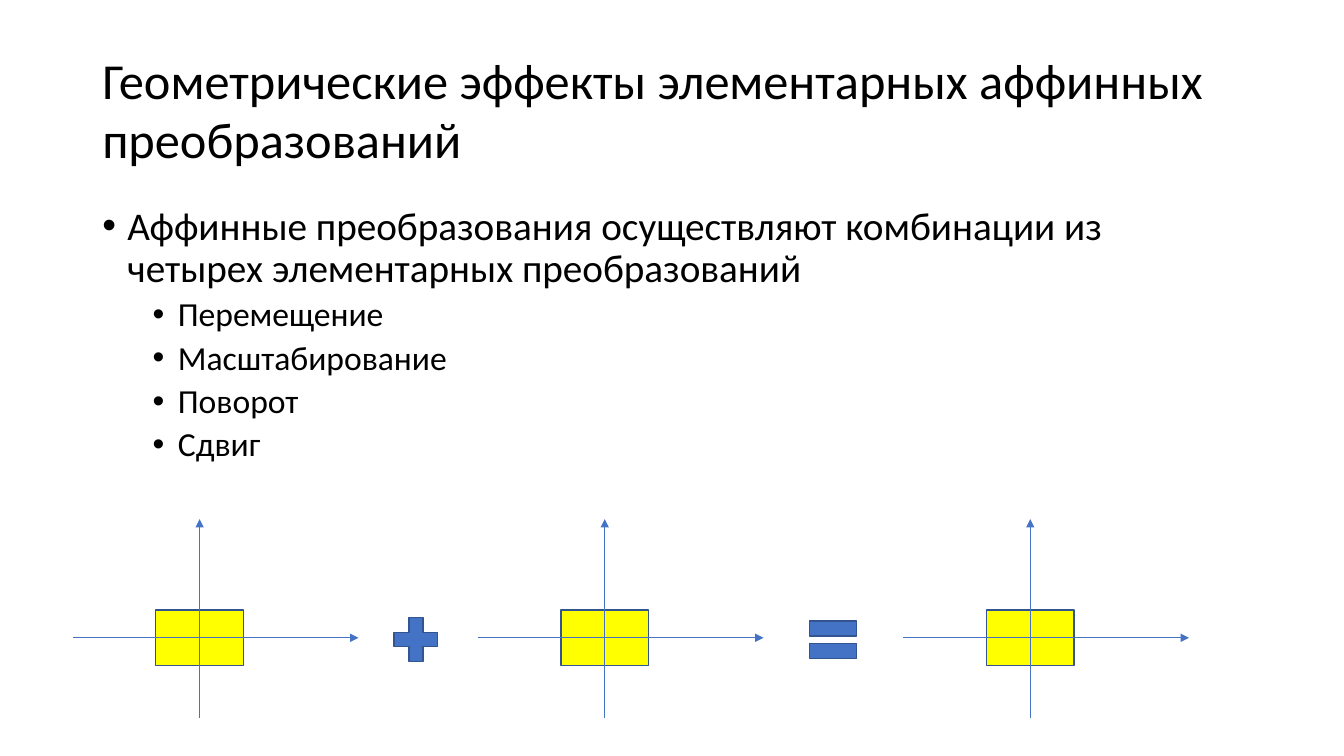
"""Build a slide on the geometric effects of elementary affine transformations."""
from dataclasses import dataclass

from lxml import etree
from pptx import Presentation
from pptx.dml.color import RGBColor
from pptx.enum.shapes import MSO_CONNECTOR, MSO_SHAPE
from pptx.enum.text import MSO_ANCHOR, PP_ALIGN
from pptx.oxml.ns import qn
from pptx.util import Pt

RECTANGLE = MSO_SHAPE.RECTANGLE
PLUS = MSO_SHAPE.MATH_PLUS
EQUAL = MSO_SHAPE.MATH_EQUAL
STRAIGHT = MSO_CONNECTOR.STRAIGHT
TOP = MSO_ANCHOR.TOP
MIDDLE = MSO_ANCHOR.MIDDLE
LEFT = PP_ALIGN.LEFT
BLANK_LAYOUT = 6


@dataclass(frozen=True)
class Theme:
    """Colours, font and sizes used on the slide."""

    font: str = "Calibri"
    text: RGBColor = RGBColor(0x00, 0x00, 0x00)
    background: RGBColor = RGBColor(0xFF, 0xFF, 0xFF)
    accent: RGBColor = RGBColor(0x44, 0x72, 0xC4)
    outline: RGBColor = RGBColor(0x32, 0x54, 0x91)
    figure: RGBColor = RGBColor(0xFF, 0xFF, 0x00)
    title_size: float = 36
    title_end_size: float = 40
    body_size: float = 28
    item_size: float = 24
    outline_width: float = 1
    axis_width: float = 0.5


THEME = Theme()

TITLE = "Геометрические эффекты элементарных аффинных преобразований"
STATEMENT = "Аффинные преобразования осуществляют комбинации из четырех элементарных преобразований"
TRANSFORMATIONS = ["Перемещение", "Масштабирование", "Поворот", "Сдвиг"]

ORIGINS_X = [142.6, 432, 735.9]
ORIGIN_Y = 455.6
AXIS_LEFT, AXIS_RIGHT = 90.6, 113.4
AXIS_UP, AXIS_DOWN = 84.8, 57
FIGURE_WIDTH, FIGURE_HEIGHT = 62.6, 39.6


def add_frame(slide, left, top, width, height, anchor=TOP):
    """Add a wrapping text box and return its text frame."""
    frame = slide.shapes.add_textbox(Pt(left), Pt(top), Pt(width), Pt(height)).text_frame
    frame.word_wrap = True
    frame.vertical_anchor = anchor
    return frame


def write(paragraph, text, size, before=0, level=0, bullet_indent=None):
    """Append formatted text to a paragraph, with a bullet if an indent is given."""
    paragraph.alignment = LEFT
    paragraph.line_spacing = 0.9
    paragraph.space_before = Pt(before)
    paragraph.level = level
    run = paragraph.add_run()
    run.text = text
    run.font.name = THEME.font
    run.font.size = Pt(size)
    run.font.color.rgb = THEME.text
    if bullet_indent is not None:
        properties = paragraph._p.get_or_add_pPr()
        properties.set("marL", str(Pt(bullet_indent)))
        properties.set("indent", str(-Pt(18)))
        etree.SubElement(properties, qn("a:buFont"), typeface="Arial")
        etree.SubElement(properties, qn("a:buChar"), char="•")


def add_figure(slide, kind, left, top, width, height, fill):
    """Add an outlined preset shape."""
    figure = slide.shapes.add_shape(kind, Pt(left), Pt(top), Pt(width), Pt(height))
    figure.shadow.inherit = False
    figure.fill.solid()
    figure.fill.fore_color.rgb = fill
    figure.line.color.rgb = THEME.outline
    figure.line.width = Pt(THEME.outline_width)


def add_axis(slide, start_x, start_y, end_x, end_y):
    """Add a thin coordinate axis with an arrowhead at its end."""
    axis = slide.shapes.add_connector(STRAIGHT, Pt(start_x), Pt(start_y), Pt(end_x), Pt(end_y))
    axis.line.color.rgb = THEME.accent
    axis.line.width = Pt(THEME.axis_width)
    properties = axis._element.spPr
    etree.SubElement(properties.find(qn("a:ln")), qn("a:tailEnd"), type="triangle")
    etree.SubElement(properties, qn("a:effectLst"))


def add_plot(slide, x, y):
    """Add a rectangle centred on the origin of a pair of axes."""
    add_figure(slide, RECTANGLE, x - FIGURE_WIDTH / 2, y - FIGURE_HEIGHT / 2,
               FIGURE_WIDTH, FIGURE_HEIGHT, THEME.figure)
    add_axis(slide, x - AXIS_LEFT, y, x + AXIS_RIGHT, y)
    add_axis(slide, x, y + AXIS_DOWN, x, y - AXIS_UP)


def main():
    """Build the slide and save it."""
    presentation = Presentation()
    presentation.slide_width = Pt(960)
    presentation.slide_height = Pt(540)
    slide = presentation.slides.add_slide(presentation.slide_layouts[BLANK_LAYOUT])
    slide.background.fill.solid()
    slide.background.fill.fore_color.rgb = THEME.background

    heading = add_frame(slide, 66, 28.75, 828, 104.4, MIDDLE).paragraphs[0]
    write(heading, TITLE, THEME.title_size)
    write(heading, " ", THEME.title_end_size)

    body = add_frame(slide, 66, 143.75, 828, 342.6)
    write(body.paragraphs[0], STATEMENT, THEME.body_size, before=10, bullet_indent=18)
    for transformation in TRANSFORMATIONS:
        write(body.add_paragraph(), transformation, THEME.item_size,
              before=5, level=1, bullet_indent=54)

    for origin_x in ORIGINS_X:
        add_plot(slide, origin_x, ORIGIN_Y)
    add_figure(slide, PLUS, 275.8, 435.6, 42.5, 42.5, THEME.accent)
    add_figure(slide, EQUAL, 572.4, 434.2, 45.4, 45.4, THEME.accent)

    presentation.save("out.pptx")


if __name__ == "__main__":
    main()
